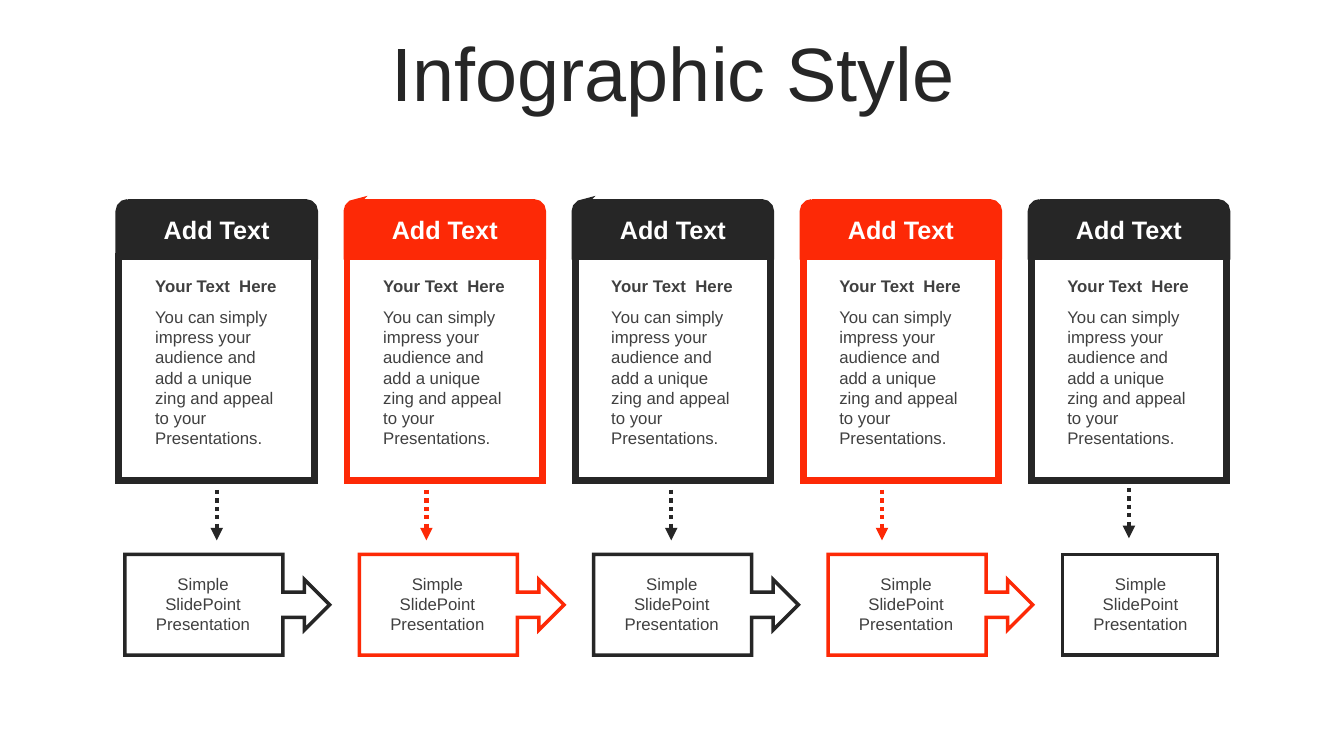
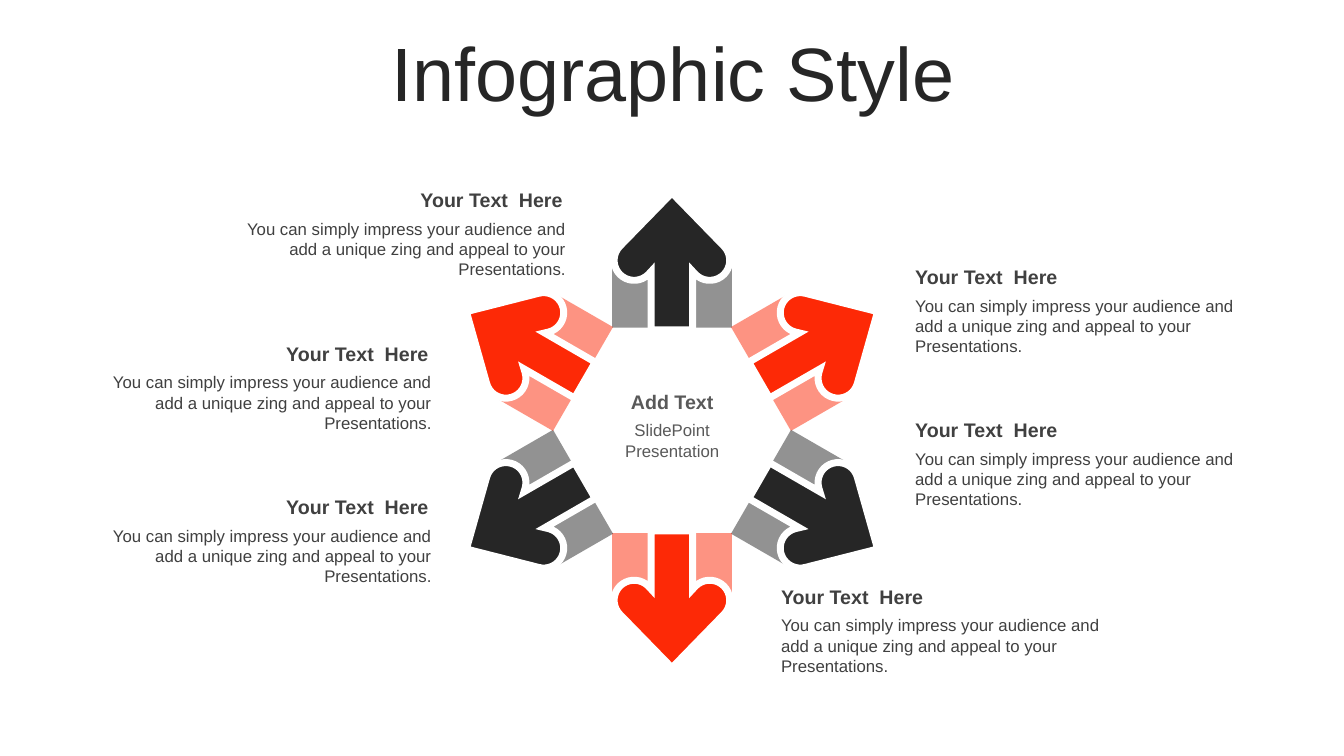
from math import cos, radians, sin

from lxml import etree
from pptx import Presentation
from pptx.dml.color import RGBColor
from pptx.enum.dml import MSO_LINE
from pptx.enum.shapes import MSO_CONNECTOR, MSO_SHAPE
from pptx.enum.text import MSO_ANCHOR, MSO_AUTO_SIZE, PP_ALIGN
from pptx.oxml.ns import qn
from pptx.util import Pt

LEFT, CENTER, RIGHT = PP_ALIGN.LEFT, PP_ALIGN.CENTER, PP_ALIGN.RIGHT
RECT, ROUND_TOP = MSO_SHAPE.RECTANGLE, MSO_SHAPE.ROUND_2_SAME_RECTANGLE
CALLOUT = MSO_SHAPE.RIGHT_ARROW_CALLOUT
STRAIGHT = MSO_CONNECTOR.STRAIGHT
DOTTED = MSO_LINE.ROUND_DOT
MIDDLE = MSO_ANCHOR.MIDDLE
NO_FIT = MSO_AUTO_SIZE.NONE

# Shared style
FONT = "Arial"
DARK, RED, WHITE = "262626", "FD2906", "FFFFFF"
BODY, MUTED = "404040", "595959"
ACCENTS = (DARK, RED)

# Content
TITLE = "Infographic Style"
LABEL = "Add Text"
HEADING = "Your Text  Here"
PITCH = ("You can simply impress your audience and add a unique zing "
         "and appeal to your Presentations.")
STEP = "Simple SlidePoint Presentation"
HUB = "SlidePoint Presentation"

# Slide 1: dotted arrows as (x, top)
DROPS = [(154.8, 350), (304.6, 350), (479.5, 350), (630, 350), (806.4, 348.5)]
CARD_X, CARD_PITCH, CARD_W = 85, 162.9, 139.7
STEP_X, STEP_PITCH = 89.3, 167.4

# Slide 2: text blocks as (left, top, alignment)
BLOCKS = [
    (646.6, 185.8, LEFT), (646.6, 295.2, LEFT), (550.8, 414, LEFT),
    (57.6, 349.9, RIGHT), (57.6, 240.5, RIGHT), (153.4, 131, RIGHT),
]
HUB_X, HUB_Y = 480, 307.4
SPOKES, SPOKE_R, SPOKE_W, SPOKE_H = 6, 96.1, 85.7, 45.4
TIP_Y, SHAFT_X, SHAFT_TOP, SHAFT_END = -169.6, 14.8, -113.5, -71.8
BARB_X, BARB_Y, BARB_R = 27, -121.4, 14.3


def rgb(color):
    return RGBColor.from_string(color)


def style_font(p, size, color, bold=False):
    for r in p.runs:
        r.font.name = FONT
        r.font.size = Pt(size)
        r.font.bold = bold
        r.font.color.rgb = rgb(color)


def style_line(sp, color, width):
    sp.line.color.rgb = rgb(color)
    sp.line.width = Pt(width)
    ln = sp.element.spPr.find(qn("a:ln"))
    etree.SubElement(ln, qn("a:miter"), lim="800000")


def style_shape(sp, fill, line=None, width=0):
    sp.shadow.inherit = False
    sp.fill.solid()
    sp.fill.fore_color.rgb = rgb(fill)
    if line:
        style_line(sp, line, width)
    else:
        sp.line.fill.background()


def add_box(s, kind, x, y, w, h, fill, line=None, width=0):
    sp = s.shapes.add_shape(kind, Pt(x), Pt(y), Pt(w), Pt(h))
    style_shape(sp, fill, line, width)
    return sp


def add_text(s, x, y, w, h, text, size, color, bold=False, align=LEFT):
    tf = s.shapes.add_textbox(Pt(x), Pt(y), Pt(w), Pt(h)).text_frame
    tf.word_wrap = True
    p = tf.paragraphs[0]
    p.text = text
    p.alignment = align
    style_font(p, size, color, bold)


def add_drop(s, x, y, color):
    line = s.shapes.add_connector(STRAIGHT, Pt(x), Pt(y), Pt(x), Pt(y + 36))
    line.line.dash_style = DOTTED
    style_line(line, color, 3)
    spPr = line.element.spPr
    etree.SubElement(spPr.find(qn("a:ln")), qn("a:tailEnd"), type="triangle")
    etree.SubElement(spPr, qn("a:effectLst"))


def add_title_slide(prs):
    s = prs.slides.add_slide(prs.slide_layouts[5])
    title = s.shapes.title
    title.left, title.top = Pt(25.2), Pt(26.6)
    title.width, title.height = Pt(911.5), Pt(56.9)
    tf = title.text_frame
    tf.text = TITLE
    tf.auto_size = NO_FIT
    tf.vertical_anchor = MIDDLE
    p = tf.paragraphs[0]
    p.alignment = CENTER
    p.line_spacing = 0.9
    style_font(p, 54, DARK)
    return s


def arrow_outline():
    """Upward arrow around the hub: right half, then its mirror image."""
    half = [(0, TIP_Y)]
    for a in range(-45, 136, 10):
        half.append((BARB_X + BARB_R * cos(radians(a)),
                     BARB_Y + BARB_R * sin(radians(a))))
    half += [(SHAFT_X, SHAFT_TOP), (SHAFT_X, SHAFT_END)]
    return half + [(-x, y) for x, y in reversed(half[1:])]


def around_hub(x, y, angle):
    c, d = cos(radians(angle)), sin(radians(angle))
    return HUB_X + x * c - y * d, HUB_Y + x * d + y * c


def add_spoke(s, angle, color):
    # Half-transparent base
    x, y = around_hub(0, -SPOKE_R, angle)
    base = add_box(s, RECT, x - SPOKE_W / 2, y - SPOKE_H / 2,
                   SPOKE_W, SPOKE_H, color)
    base.rotation = angle
    clr = base.element.spPr.xpath("./a:solidFill/a:srgbClr")[0]
    etree.SubElement(clr, qn("a:alpha"), val="50000")
    # Arrow
    pts = [around_hub(px, py, angle) for px, py in arrow_outline()]
    pts = [(Pt(px), Pt(py)) for px, py in pts]
    outline = s.shapes.build_freeform(*pts[0])
    outline.add_line_segments(pts[1:], close=True)
    style_shape(outline.convert_to_shape(), color, WHITE, 5)


def build_process(prs):
    s = add_title_slide(prs)
    for i, (drop_x, drop_y) in enumerate(DROPS):
        color = ACCENTS[i % 2]
        # Card
        x = CARD_X + i * CARD_PITCH
        add_box(s, RECT, x, 182.9, CARD_W, 160.6, WHITE, color, 5)
        add_box(s, ROUND_TOP, x, 144.7, CARD_W, 38.2, color, color, 5)
        tx, tw = x + 18.7, 102.2
        add_text(s, tx, 149.8, tw, 28.8, LABEL, 18, WHITE, True, CENTER)
        add_text(s, tx, 193.7, tw, 21.6, HEADING, 12, BODY, True)
        add_text(s, tx, 215.6, tw, 108.7, PITCH, 12, BODY)
        add_drop(s, drop_x, drop_y, color)
        # Step
        x = STEP_X + i * STEP_PITCH
        if i < len(DROPS) - 1:
            sp = add_box(s, CALLOUT, x, 396, 146.2, 72, WHITE, color, 2.5)
            sp.adjustments[3] = 0.772
        else:
            add_box(s, RECT, x, 396, 110.9, 72, WHITE, color, 2.5)
        add_text(s, x + 12.2, 406, 87.1, 51.1, STEP, 12, BODY, align=CENTER)


def build_wheel(prs):
    s = add_title_slide(prs)
    for i in range(SPOKES):
        add_spoke(s, i * 360 / SPOKES, ACCENTS[i % 2])
    add_text(s, 429.8, 275, 100.8, 24.5, LABEL, 14, MUTED, True, CENTER)
    add_text(s, 429.8, 296.6, 100.8, 36, HUB, 12, MUTED, align=CENTER)
    for x, y, align in BLOCKS:
        add_text(s, x, y, 255.6, 24.5, HEADING, 14, BODY, True, align)
        add_text(s, x, y + 21.8, 257.8, 51.1, PITCH, 12, BODY, align=align)


def main():
    prs = Presentation()
    prs.slide_width, prs.slide_height = Pt(960), Pt(540)
    build_process(prs)
    build_wheel(prs)
    prs.save("out.pptx")


if __name__ == "__main__":
    main()
